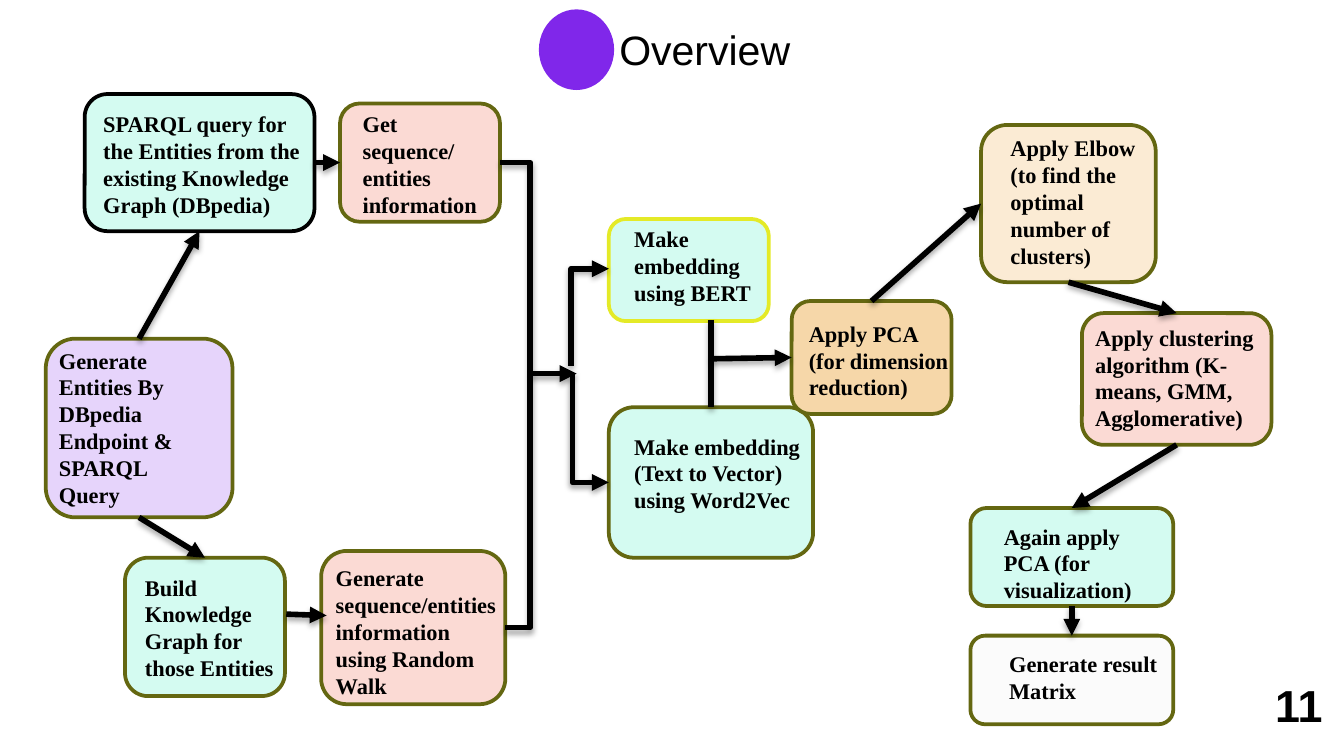
from dataclasses import dataclass
from lxml.etree import SubElement
from pptx import Presentation
from pptx.dml.color import RGBColor
from pptx.enum.shapes import MSO_CONNECTOR, MSO_SHAPE
from pptx.enum.text import MSO_ANCHOR
from pptx.oxml.ns import qn
from pptx.util import Inches, Pt


@dataclass(frozen=True)
class Theme:
    """Colours, fonts and sizes of the slide."""
    black: str = "000000"
    olive: str = "646711"
    yellow: str = "E4EA27"
    violet: str = "8027EA"
    lilac: str = "E6D4FB"
    mint: str = "D4FBF1"
    pink: str = "FBDAD4"
    sand: str = "F6D7A9"
    cream: str = "FBEBD4"
    pale: str = "FBFBFB"
    serif: str = "Times New Roman"
    sans: str = "Arial"
    body: int = 12
    title: int = 22
    page: int = 24
    edge: int = 2
    wire: int = 3


T = Theme()

STEPS = {
    "start": ((0.34, 2.52, 1.39, 1.33), T.lilac, T.olive, (0, 0.01, 1.3),
              "Generate Entities By DBpedia Endpoint & SPARQL Query"),
    "query": ((0.63, 0.7, 1.71, 1.02), T.mint, T.black, (0.04, 0.07, 1.7),
              "SPARQL query for the Entities from the existing Knowledge Graph (DBpedia)"),
    "build": ((0.93, 4.15, 1.19, 1.03), T.mint, T.olive, (0.05, 0.07, 1.19),
              "Build Knowledge Graph for those Entities"),
    "fetch": ((2.53, 0.77, 1.19, 0.88), T.pink, T.olive, (0.07, 0, 1.13),
              "Get sequence/\nentities information"),
    "walk": ((2.39, 4.1, 1.37, 1.14), T.pink, T.olive, (0.01, 0.05, 1.44),
             "Generate sequence/entities information using Random Walk"),
    "bert": ((4.53, 1.63, 1.19, 0.76), T.mint, T.yellow, (0.09, 0, 1.12),
             "Make embedding using BERT"),
    "words": ((4.53, 3.03, 1.52, 1.12), T.mint, T.olive, (0.09, 0.14, 1.46),
              "Make embedding (Text to Vector) using Word2Vec"),
    "pca": ((5.89, 2.24, 1.19, 0.84), T.sand, T.olive, (0.03, 0.09, 1.26),
            "Apply PCA (for dimension reduction)"),
    "again": ((7.22, 3.78, 1.51, 0.73), T.mint, T.olive, (0.15, 0.06, 1.42),
              "Again apply PCA (for visualization)"),
    "group": ((8.05, 2.33, 1.41, 0.98), T.pink, T.olive, (0, 0.03, 1.42),
              "Apply clustering algorithm (K-means, GMM, Agglomerative)"),
    "elbow": ((7.3, 0.93, 1.3, 1.17), T.cream, T.olive, (0.12, 0.02, 1.31),
              "Apply Elbow (to find the optimal number of clusters)"),
    "result": ((7.22, 4.73, 1.51, 0.66), T.pale, T.olive, (0.19, 0.06, 1.41),
               "Generate result Matrix"),
}

LINKS = [
    ("start", 0, "query", 2), ("start", 2, "build", 0), ("query", 3, "fetch", 1),
    ("elbow", 2, "group", 0), ("group", 2, "again", 0), ("again", 2, "result", 0),
    ("pca", 0, "elbow", 1),
]


def tint(text):
    """Turn a hex string into a colour."""
    return RGBColor.from_string(text)


def add_text(slide, box, text, size, font, bold=True):
    """Place wrapped text in a box and return its frame."""
    frame = slide.shapes.add_textbox(*map(Inches, box)).text_frame
    frame.word_wrap = True
    frame.text = text
    for para in frame.paragraphs:
        para.font.size = Pt(size)
        para.font.name = font
        para.font.bold = bold
        para.font.color.rgb = tint(T.black)
    return frame


def add_shape(slide, kind, box, fill):
    """Place a flat filled shape."""
    shape = slide.shapes.add_shape(kind, *map(Inches, box))
    shape.shadow.inherit = False
    shape.fill.solid()
    shape.fill.fore_color.rgb = tint(fill)
    shape.line.fill.background()
    return shape


def add_step(slide, box, fill, edge, inset, text):
    """Draw one step and its label, offset from the corner of its box."""
    shape = add_shape(slide, MSO_SHAPE.ROUNDED_RECTANGLE, box, fill)
    shape.line.color.rgb = tint(edge)
    shape.line.width = Pt(T.edge)
    left, top, wide, high = box
    dx, dy, span = inset
    add_text(slide, (left + dx, top + dy, span, high - dy), text, T.body, T.serif)
    return shape


def add_wire(slide, start, end, head=True, bend=None):
    """Draw a shadowed line, bent at a share of its width if one is given."""
    kind = MSO_CONNECTOR.STRAIGHT if bend is None else MSO_CONNECTOR.ELBOW
    wire = slide.shapes.add_connector(kind, *map(Inches, (*start, *end)))
    wire.line.color.rgb = tint(T.black)
    wire.line.width = Pt(T.wire)
    props = wire.line._get_or_add_ln()
    if head:
        SubElement(props, qn("a:tailEnd"), type="triangle")
    shape = props.getparent()
    if bend is not None:
        guides = shape.find(qn("a:prstGeom")).get_or_add_avLst()
        SubElement(guides, qn("a:gd"), name="adj1", fmla=f"val {round(bend * 100000)}")
    effects = SubElement(shape, qn("a:effectLst"))
    shade = SubElement(effects, qn("a:outerShdw"), blurRad=str(Pt(3.1)),
                       dist=str(Pt(1.8)), dir="5400000", rotWithShape="0")
    colour = SubElement(shade, qn("a:srgbClr"), val=T.black)
    SubElement(colour, qn("a:alpha"), val="35000")
    return wire


def add_flow(slide, steps):
    """Draw the steps and the wires between them."""
    nodes = {name: add_step(slide, *step) for name, step in steps.items()}
    for first, out, last, into in LINKS:
        wire = add_wire(slide, (0, 0), (1, 1))
        wire.begin_connect(nodes[first], out)
        wire.end_connect(nodes[last], into)
    add_wire(slide, (2.13, 4.57), (2.43, 4.58))
    add_wire(slide, (3.72, 1.21), (3.76, 4.67), head=False, bend=5.6)
    add_wire(slide, (3.95, 2.78), (4.29, 2.78))
    add_wire(slide, (4.25, 2.72), (4.53, 2), bend=0)
    add_wire(slide, (4.26, 2.78), (4.53, 3.59), bend=0)
    add_wire(slide, (5.29, 2.38), (5.29, 3.03), head=False).end_connect(nodes["words"], 0)
    add_wire(slide, (5.29, 2.67), (5.89, 2.66)).end_connect(nodes["pca"], 1)


def add_title(slide, box, text):
    """Draw the heading with a dot at its left."""
    left, top, wide, high = box
    add_shape(slide, MSO_SHAPE.OVAL, (left, top, 0.56, high), T.violet)
    frame = add_text(slide, (left + 0.5, top + 0.09, wide - 0.5, 0.41),
                     text, T.title, T.sans, bold=False)
    frame.vertical_anchor = MSO_ANCHOR.MIDDLE


def main():
    """Build the slide and save it."""
    deck = Presentation()
    deck.slide_width, deck.slide_height = Inches(10), Inches(10 * 9 / 16)
    slide = deck.slides.add_slide(deck.slide_layouts[6])
    add_flow(slide, STEPS)
    add_title(slide, (4.01, 0.07, 4, 0.6), "Overview")
    add_text(slide, (9.39, 4.99, 0.6, 0.5), "11", T.page, T.sans)
    deck.save("out.pptx")


if __name__ == "__main__":
    main()
